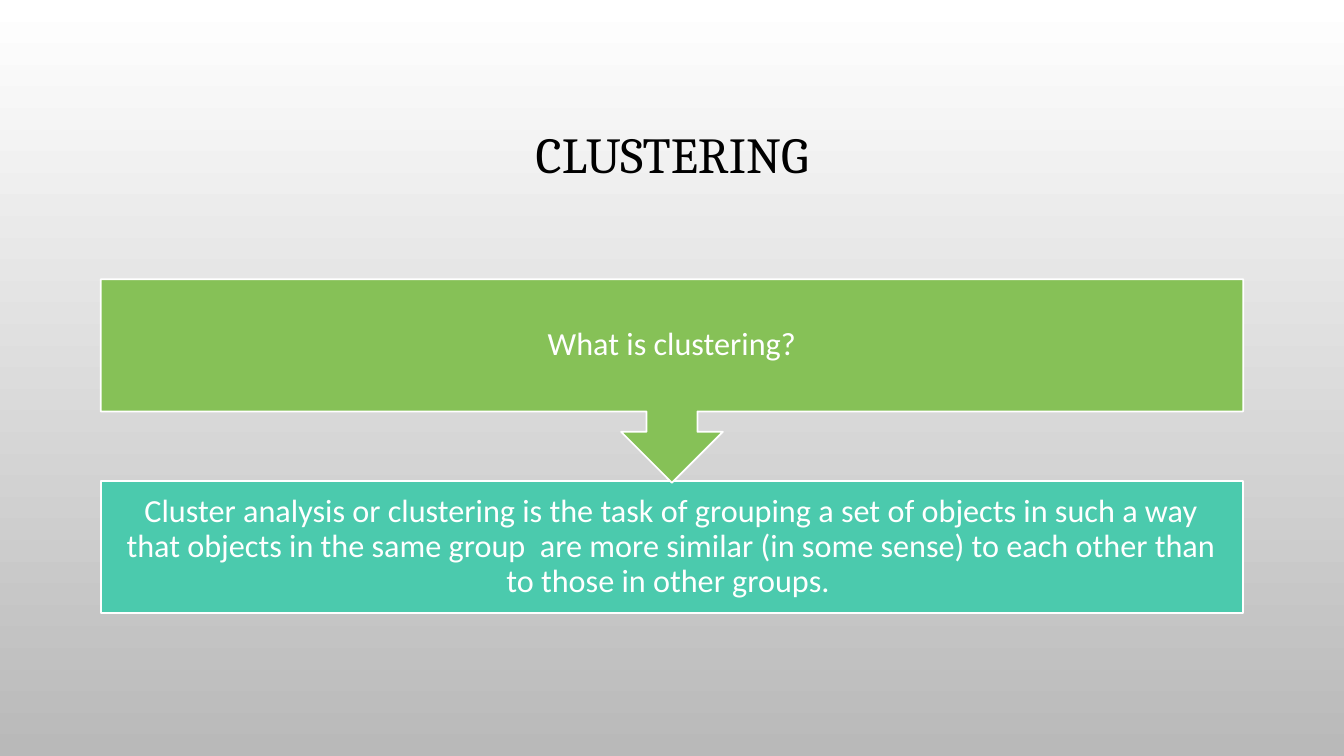
from pptx import Presentation
from pptx.dml.color import RGBColor
from pptx.enum.shapes import MSO_SHAPE
from pptx.enum.text import MSO_ANCHOR, PP_ALIGN
from pptx.util import Inches, Pt

RECTANGLE = MSO_SHAPE.RECTANGLE
ARROW_CALLOUT = MSO_SHAPE.DOWN_ARROW_CALLOUT
CENTER = PP_ALIGN.CENTER
MIDDLE = MSO_ANCHOR.MIDDLE

WHITE = RGBColor(0xFF, 0xFF, 0xFF)
GRAY = RGBColor(0xB9, 0xB9, 0xB9)
BLACK = RGBColor(0x00, 0x00, 0x00)
GREEN = RGBColor(0x86, 0xC1, 0x57)
TEAL = RGBColor(0x4B, 0xCA, 0xAD)

COLUMNS, ROWS = 40, 100
LEFT, WIDTH = 3, 34
TITLE_ONLY = 5


class SlideBuilder:
    """Holds the text style and grid of the current slide."""

    title_font, title_size = "Cambria", 36
    body_font, body_size = "Calibri", 23
    inset = Inches(0.18)

    def __init__(self, deck):
        self.page = deck.slides.add_slide(deck.slide_layouts[TITLE_ONLY])
        self.column = deck.slide_width / COLUMNS
        self.row = deck.slide_height / ROWS

    def place(self, top, height):
        """Return left, top, width and height of a full-width band."""
        return (round(LEFT * self.column), round(top * self.row),
                round(WIDTH * self.column), round(height * self.row))

    def background(self, start, end):
        fill = self.page.background.fill
        fill.gradient()
        fill.gradient_angle = 270
        for stop, color in zip(fill.gradient_stops, (start, end)):
            stop.color.rgb = color

    def set_text(self, frame, text, font, size, color):
        frame.word_wrap = True
        frame.vertical_anchor = MIDDLE
        para = frame.paragraphs[0]
        para.alignment = CENTER
        para.line_spacing = 0.9
        span = para.add_run()
        span.text = text
        span.font.name = font
        span.font.size = Pt(size)
        span.font.color.rgb = color

    def title(self, text, top, height):
        box = self.page.shapes.title
        box.left, box.top, box.width, box.height = self.place(top, height)
        self.set_text(box.text_frame, text, self.title_font, self.title_size, BLACK)

    def panel(self, kind, text, top, height, color):
        box = self.page.shapes.add_shape(kind, *self.place(top, height))
        box.shadow.inherit = False
        box.fill.solid()
        box.fill.fore_color.rgb = color
        box.line.color.rgb = WHITE
        box.line.width = Pt(1.25)
        frame = box.text_frame
        frame.margin_left = frame.margin_right = self.inset
        frame.margin_top = frame.margin_bottom = self.inset
        self.set_text(frame, text, self.body_font, self.body_size, WHITE)


def main():
    deck = Presentation()
    deck.slide_width, deck.slide_height = Inches(13.33), Inches(7.5)
    slide = SlideBuilder(deck)
    slide.background(WHITE, GRAY)
    slide.title("CLUSTERING", 9.07, 23.33)
    slide.panel(
        RECTANGLE,
        "Cluster analysis or clustering is the task of grouping a set of objects "
        "in such a way that objects in the same group  are more similar "
        "(in some sense) to each other than to those in other groups. ",
        63.6, 17.47, TEAL)
    slide.panel(ARROW_CALLOUT, "What is clustering?", 36.93, 26.93, GREEN)
    deck.save("out.pptx")


if __name__ == "__main__":
    main()
